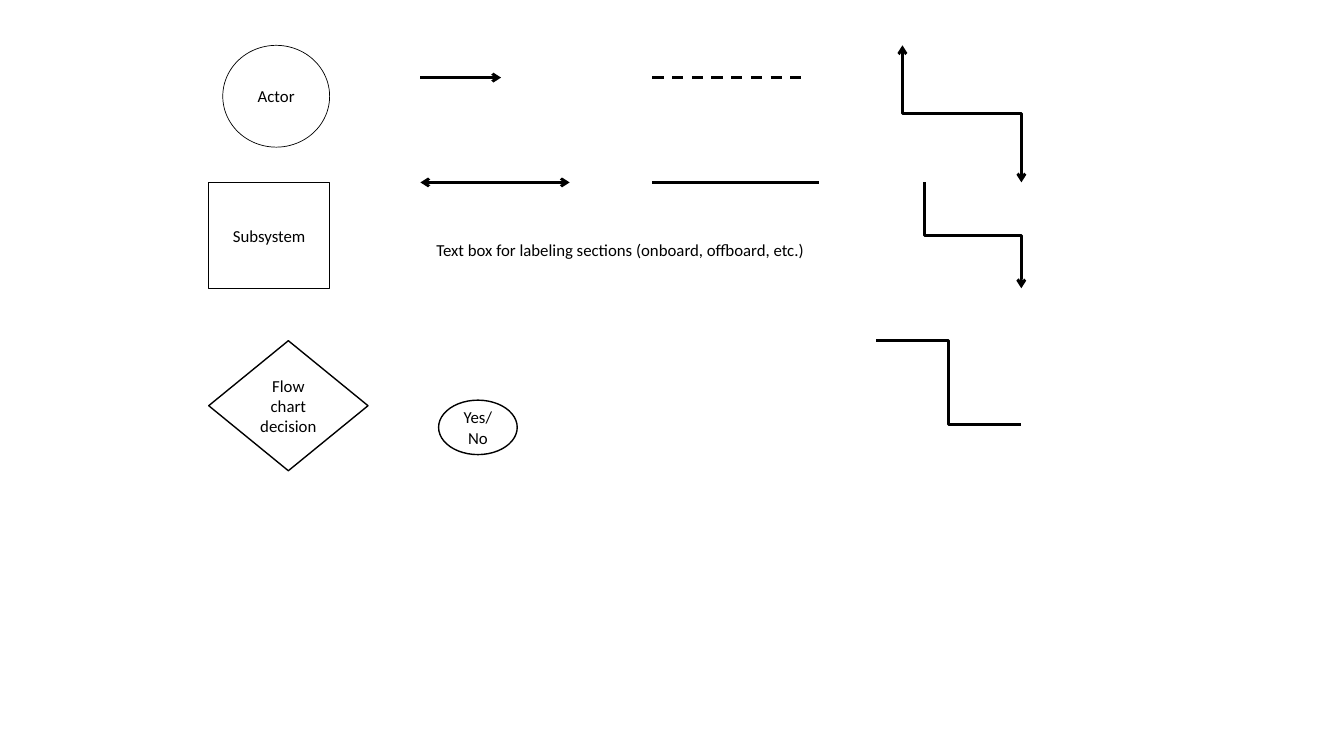
from dataclasses import dataclass

from pptx import Presentation
from pptx.dml.color import RGBColor
from pptx.enum.dml import MSO_LINE
from pptx.enum.shapes import MSO_CONNECTOR, MSO_SHAPE
from pptx.enum.text import MSO_ANCHOR, MSO_AUTO_SIZE, PP_ALIGN
from pptx.oxml.ns import qn
from pptx.util import Inches, Pt
from lxml import etree

RECTANGLE, OVAL, DIAMOND = MSO_SHAPE.RECTANGLE, MSO_SHAPE.OVAL, MSO_SHAPE.DIAMOND
STRAIGHT, ELBOW = MSO_CONNECTOR.STRAIGHT, MSO_CONNECTOR.ELBOW
DASH = MSO_LINE.DASH
MIDDLE, CENTER, LEFT = MSO_ANCHOR.MIDDLE, PP_ALIGN.CENTER, PP_ALIGN.LEFT
FIT_SHAPE = MSO_AUTO_SIZE.SHAPE_TO_FIT_TEXT
HEAD, TAIL = "a:headEnd", "a:tailEnd"


@dataclass(frozen=True)
class Theme:
    ink: RGBColor = RGBColor(0, 0, 0)
    font: str = "Calibri"
    text_size: float = 12
    thin: float = 0.5
    medium: float = 1
    thick: float = 2


THEME = Theme()


def write_text(shape, text, alignment):
    paragraph = shape.text_frame.paragraphs[0]
    paragraph.alignment = alignment
    run = paragraph.add_run()
    run.text = text
    run.font.name = THEME.font
    run.font.size = Pt(THEME.text_size)
    run.font.color.rgb = THEME.ink


def style_line(line, width):
    line.color.rgb = THEME.ink
    line.width = Pt(width)


def add_symbol(slide, kind, text, left, top, width, height, line_width):
    shape = slide.shapes.add_shape(
        kind, Inches(left), Inches(top), Inches(width), Inches(height))
    shape.shadow.inherit = False
    shape.fill.background()
    style_line(shape.line, line_width)
    shape.text_frame.word_wrap = True
    shape.text_frame.vertical_anchor = MIDDLE
    write_text(shape, text, CENTER)


def add_line(slide, kind, start, end, arrows=(), dash=None):
    connector = slide.shapes.add_connector(
        kind, *(Inches(value) for value in (*start, *end)))
    style_line(connector.line, THEME.thick)
    if dash:
        connector.line.dash_style = dash
    properties = connector._element.spPr
    outline = properties.find(qn("a:ln"))
    for arrow in arrows:
        etree.SubElement(outline, qn(arrow)).set("type", "arrow")
    etree.SubElement(properties, qn("a:effectLst"))
    return connector


def add_vertical_elbow(slide, left, top, width, height, arrows):
    center_x, center_y = left + width / 2, top + height / 2
    start = center_x + height / 2, center_y - width / 2
    end = center_x - height / 2, center_y + width / 2
    connector = add_line(slide, ELBOW, start, end, arrows)
    connector._element.spPr.find(qn("a:xfrm")).set("rot", str(270 * 60000))


def add_node_symbols(slide, left, top):
    add_symbol(slide, RECTANGLE, "Subsystem", left, top + 1.36, 1.2, 1.05, THEME.thin)
    add_symbol(slide, OVAL, "Actor", left + 0.14, top, 1.06, 1.01, THEME.thin)
    add_symbol(slide, DIAMOND, "Flow chart decision",
               left, top + 2.93, 1.58, 1.29, THEME.medium)
    add_symbol(slide, OVAL, "Yes/No", left + 2.28, top + 3.52, 0.78, 0.54, THEME.medium)


def add_straight_lines(slide, left, top):
    lines = (
        (0, 0, 0.8, (TAIL,), None),
        (0, 1.04, 1.48, (HEAD, TAIL), None),
        (2.3, 0, 1.47, (), DASH),
        (2.3, 1.04, 1.65, (), None),
    )
    for offset_x, offset_y, length, arrows, dash in lines:
        x, y = left + offset_x, top + offset_y
        add_line(slide, STRAIGHT, (x, y), (x + length, y), arrows, dash)


def add_section_label(slide, left, top, width, height):
    label = slide.shapes.add_textbox(
        Inches(left), Inches(top), Inches(width), Inches(height))
    label.text_frame.word_wrap = False
    label.text_frame.auto_size = FIT_SHAPE
    write_text(label, "Text box for labeling sections (onboard, offboard, etc.)", LEFT)


def add_elbow_lines(slide, right, top):
    add_vertical_elbow(slide, right - 1.18, top, 1.18, 1.36, (HEAD, TAIL))
    add_vertical_elbow(slide, right - 0.96, top + 1.36, 0.96, 1.05, (TAIL,))
    add_line(slide, ELBOW, (right - 1.44, top + 2.93), (right, top + 3.76))


def main():
    presentation = Presentation()
    presentation.slide_width = Inches(13.33)
    presentation.slide_height = Inches(7.5)
    slide = presentation.slides.add_slide(presentation.slide_layouts[6])
    add_node_symbols(slide, 2.07, 0.45)
    add_straight_lines(slide, 4.17, 0.77)
    add_section_label(slide, 4.23, 2.33, 3.89, 0.3)
    add_elbow_lines(slide, 10.13, 0.45)
    presentation.save("out.pptx")


if __name__ == "__main__":
    main()
